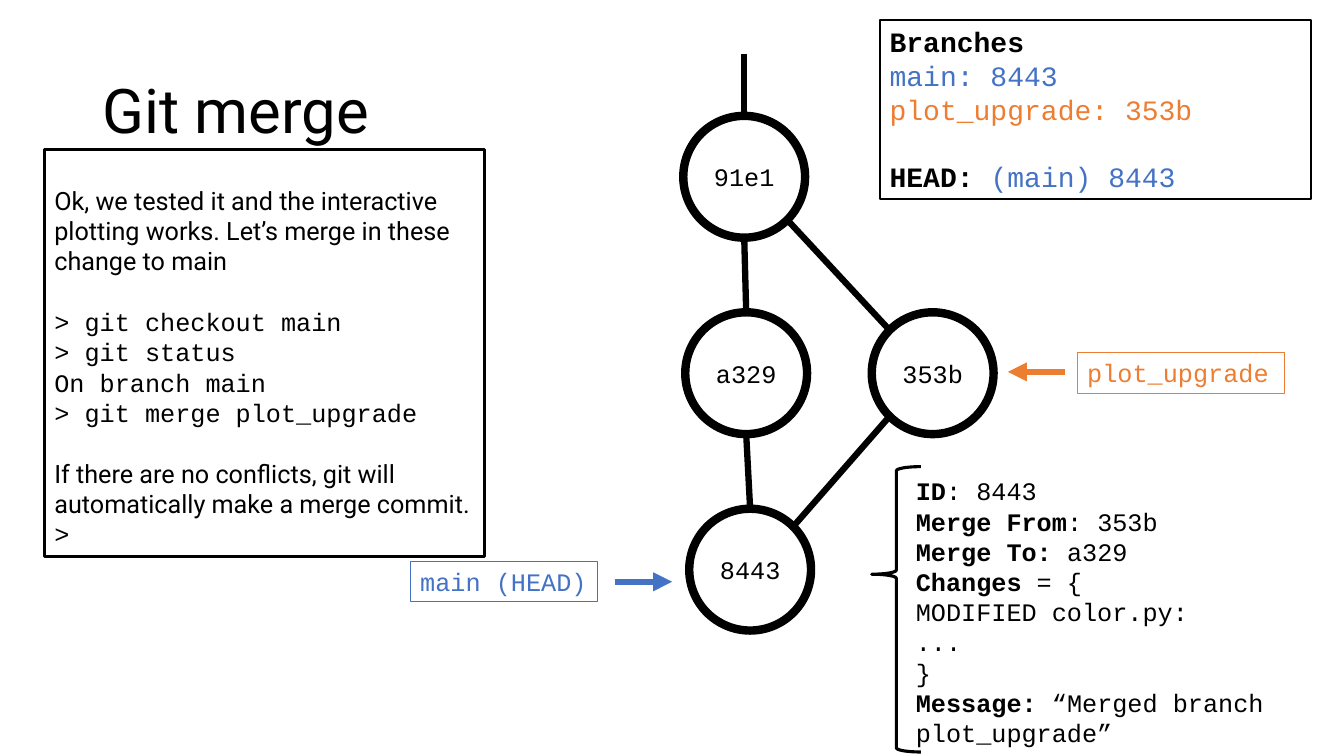
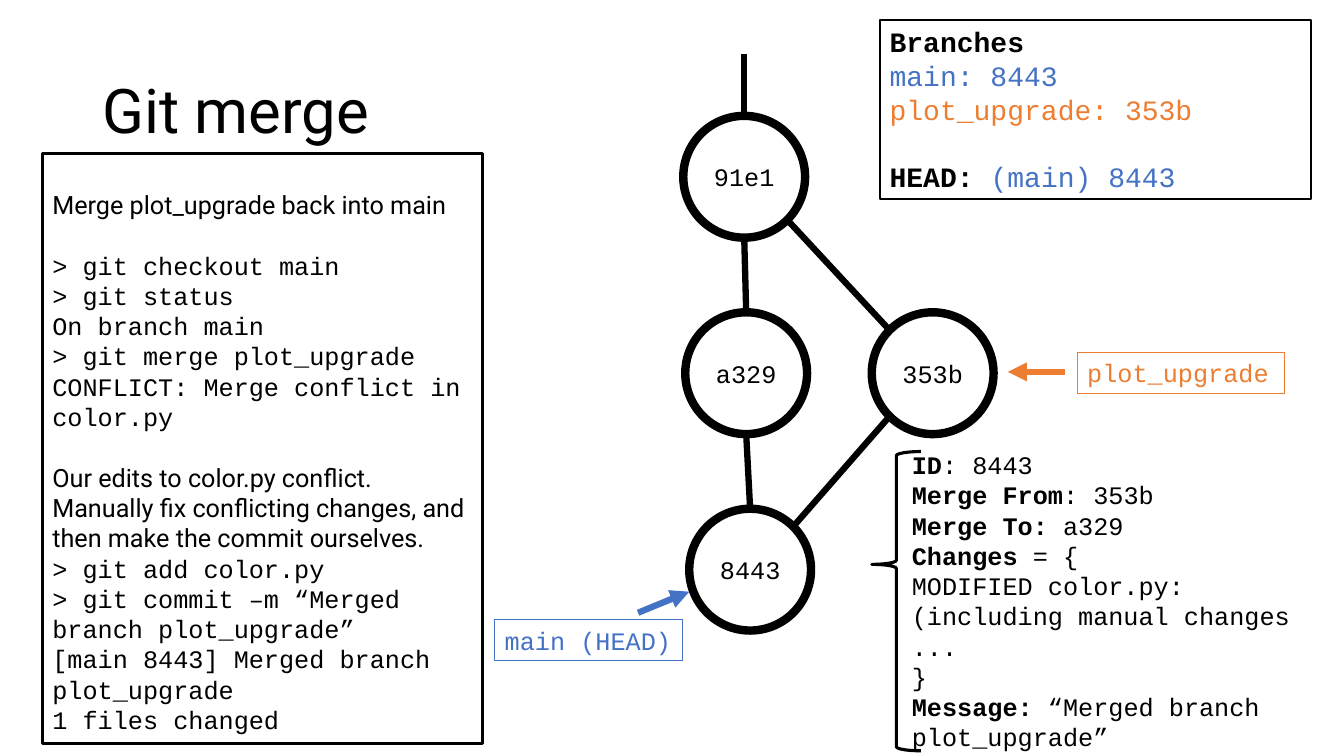
from dataclasses import dataclass
from math import cos, radians, sin
from typing import NamedTuple

from lxml import etree
from pptx import Presentation
from pptx import util as u
from pptx.dml.color import RGBColor
from pptx.enum import shapes, text
from pptx.oxml.ns import qn


@dataclass(frozen=True)
class Theme:
    """Colours, fonts and type sizes of the deck."""
    ink: str = "000000"
    blue: str = "4472C4"
    orange: str = "ED7D31"
    sans: str = "Roboto"
    mono: str = "Courier New"
    title: int = 44
    body: int = 18
    list: int = 20


THEME = Theme()


class Box(NamedTuple):
    """A region in centimetres."""
    left: float
    top: float
    width: float
    height: float

    def place(self):
        """Return the four lengths of the region."""
        return [u.Cm(side) for side in self]

    def point(self, right, down):
        """Return a point measured from the top left corner."""
        return self.left + right, self.top + down

    def rim(self, angle):
        """Return the point of the inscribed circle at a clockwise angle."""
        half = self.width / 2
        turn = radians(angle)
        return self.point(half * (1 + cos(turn)), half * (1 + sin(turn)))


class Line(NamedTuple):
    """A paragraph: a bold label, then plain text; gap skips one line."""
    label: str = ""
    plain: str = ""
    tint: str = THEME.ink
    face: str = THEME.mono
    gap: bool = False


def code(plain, gap=False):
    """Return a line of terminal text."""
    return Line(plain=plain, gap=gap)


def prose(plain, gap=False):
    """Return a line of running text."""
    return Line(plain=plain, face=THEME.sans, gap=gap)


def paint(tint):
    """Return the colour for a hex value."""
    return RGBColor.from_string(tint)


def write(frame, lines, size=THEME.body, wrap=True):
    """Fill a text frame with lines, from the top left."""
    frame.word_wrap = wrap
    frame.vertical_anchor = text.MSO_ANCHOR.TOP
    for place, line in enumerate(lines):
        para = frame.add_paragraph() if place else frame.paragraphs[0]
        para.alignment = text.PP_ALIGN.LEFT
        para.font.name = line.face
        para.font.size = u.Pt(size)
        para.font.color.rgb = paint(line.tint)
        if line.gap:
            para.space_before = u.Pt(round(size * 1.2))
        if line.label:
            run = para.add_run()
            run.text = line.label
            run.font.bold = True
            run.font.color.rgb = paint(THEME.ink)
        if line.plain:
            para.add_run().text = line.plain


def outline(page, kind, box, weight, tint=THEME.ink):
    """Add an unfilled shape with a coloured border."""
    shape = page.shapes.add_shape(kind, *box.place())
    shape.shadow.inherit = False
    shape.fill.background()
    shape.line.color.rgb = paint(tint)
    shape.line.width = u.Pt(weight)
    return shape


def panel(page, box, weight, tint=THEME.ink):
    """Add an unfilled rectangle."""
    return outline(page, shapes.MSO_SHAPE.RECTANGLE, box, weight, tint)


def link(page, start, end, tint=THEME.ink, arrow=False):
    """Draw a thick line, with an arrowhead at its end if asked."""
    ends = [u.Cm(side) for side in (*start, *end)]
    line = page.shapes.add_connector(shapes.MSO_CONNECTOR.STRAIGHT, *ends)
    line.line.color.rgb = paint(tint)
    line.line.width = u.Pt(4.5)
    props = line._element.spPr
    if arrow:
        etree.SubElement(props.find(qn("a:ln")), qn("a:tailEnd"), type="triangle")
    etree.SubElement(props, qn("a:effectLst"))


def title(page, box, words):
    """Format the title placeholder."""
    head = page.shapes.title
    head.left, head.top, head.width, head.height = box.place()
    write(head.text_frame, [prose(words)], THEME.title)
    head.text_frame.vertical_anchor = text.MSO_ANCHOR.MIDDLE
    head.text_frame.paragraphs[0].line_spacing = 0.9


def graph(page, box):
    """Draw the commit graph below its trunk."""
    size, stem, step = 3.07, 1.57, 4.95
    spots = {"91e1": (0, 0), "a329": (0.05, 1), "8443": (0.15, 2), "353b": (4.75, 1)}
    nodes = {}
    for name, (right, row) in spots.items():
        node = Box(*box.point(right, stem + row * step), size, size)
        nodes[name] = node
        ring = outline(page, shapes.MSO_SHAPE.OVAL, node, 6)
        frame = ring.text_frame
        frame.margin_left = frame.margin_right = 0
        write(frame, [code(name)], wrap=False)
        frame.vertical_anchor = text.MSO_ANCHOR.MIDDLE
        frame.paragraphs[0].alignment = text.PP_ALIGN.CENTER
    link(page, box.point(size / 2, 0), nodes["91e1"].rim(-90))
    for old, leave, new, enter in (
        ("91e1", 90, "a329", -90),
        ("a329", 90, "8443", -90),
        ("91e1", 45, "353b", -135),
        ("353b", 135, "8443", -45),
    ):
        link(page, nodes[old].rim(leave), nodes[new].rim(enter))


def branches(page, box):
    """List the branches and the head."""
    lines = [
        Line("Branches"),
        Line(plain="main: 8443", tint=THEME.blue),
        Line(plain="plot_upgrade: 353b", tint=THEME.orange),
        Line("HEAD: ", "(main) 8443", THEME.blue, gap=True),
    ]
    write(panel(page, box, 1.5).text_frame, lines, THEME.list)


def tag(page, box, name, tint, start, end):
    """Add a branch tag and its arrow, offset from the tag's corner."""
    write(panel(page, box, 0.75, tint).text_frame, [Line(plain=name, tint=tint)], wrap=False)
    link(page, box.point(*start), box.point(*end), tint, True)


def console(page, box, lines):
    """Add the framed walkthrough, one line down from its top."""
    frame = panel(page, box, 2.25).text_frame
    frame.margin_top = u.Cm(0.9)
    write(frame, lines)


def commit(page, box, shift, change):
    """Add a brace and the merge commit's details beside it."""
    brace = outline(page, shapes.MSO_SHAPE.LEFT_BRACE, box, 2.25)
    brace.adjustments[0], brace.adjustments[1] = 0.083, 0.377
    area = Box(*box.point(*shift), 10.82, box.height)
    lines = [
        Line("ID", ": 8443"),
        Line("Merge From", ": 353b"),
        Line("Merge To: ", "a329"),
        Line("Changes", " = {"),
        code(change),
        code("..."),
        code("}"),
        Line("Message: ", "“Merged branch plot_upgrade”"),
    ]
    write(page.shapes.add_textbox(*area.place()).text_frame, lines)


def merge(deck):
    """Add a merge slide with the parts that all of them share."""
    page = deck.slides.add_slide(deck.slide_layouts[5])
    title(page, Box(2.33, 1.01, 29.21, 3.68), "Git merge")
    graph(page, Box(17.22, 1.35, 7.82, 14.55))
    branches(page, Box(22.17, 0.5, 10.87, 4.52))
    tag(page, Box(27.15, 8.89, 5.23, 1.02), "plot_upgrade", THEME.orange,
        (-0.3, 0.48), (-1.75, 0.48))
    return page


def clean(deck):
    """Add the slide of a merge without conflicts."""
    page = merge(deck)
    tag(page, Box(10.34, 14.15, 4.72, 1.02), "main (HEAD)", THEME.blue,
        (5.15, 0.51), (6.6, 0.51))
    console(page, Box(1.12, 3.76, 11.1, 10.26), [
        prose("Ok, we tested it and the interactive plotting works. "
              "Let’s merge in these change to main"),
        code("> git checkout main", True),
        code("> git status"),
        code("On branch main"),
        code("> git merge plot_upgrade"),
        prose("If there are no conflicts, git will automatically make a merge commit.", True),
        code(">"),
    ])
    commit(page, Box(21.97, 11.76, 1.24, 7.19), (0.86, 0.1), "MODIFIED color.py:")


def clash(deck):
    """Add the slide of a merge with a conflict."""
    page = merge(deck)
    tag(page, Box(12.47, 15.62, 4.72, 1.02), "main (HEAD)", THEME.blue,
        (3.61, -0.18), (4.9, -0.71))
    console(page, Box(1.07, 3.86, 11.1, 14.88), [
        prose("Merge plot_upgrade back into main"),
        code("> git checkout main", True),
        code("> git status"),
        code("On branch main"),
        code("> git merge plot_upgrade"),
        code("CONFLICT: Merge conflict in color.py"),
        prose("Our edits to color.py conflict. Manually fix conflicting changes, "
              "and then make the commit ourselves.", True),
        code("> git add color.py"),
        code("> git commit –m “Merged branch plot_upgrade”"),
        code("[main 8443] Merged branch plot_upgrade"),
        code("1 files changed"),
    ])
    commit(page, Box(21.97, 11.38, 1.24, 7.54), (0.76, -0.18),
           "MODIFIED color.py: (including manual changes")


def main():
    """Build and save the deck."""
    deck = Presentation()
    deck.slide_width, deck.slide_height = u.Cm(33.87), u.Cm(19.05)
    clean(deck)
    clash(deck)
    deck.save("out.pptx")


main()
